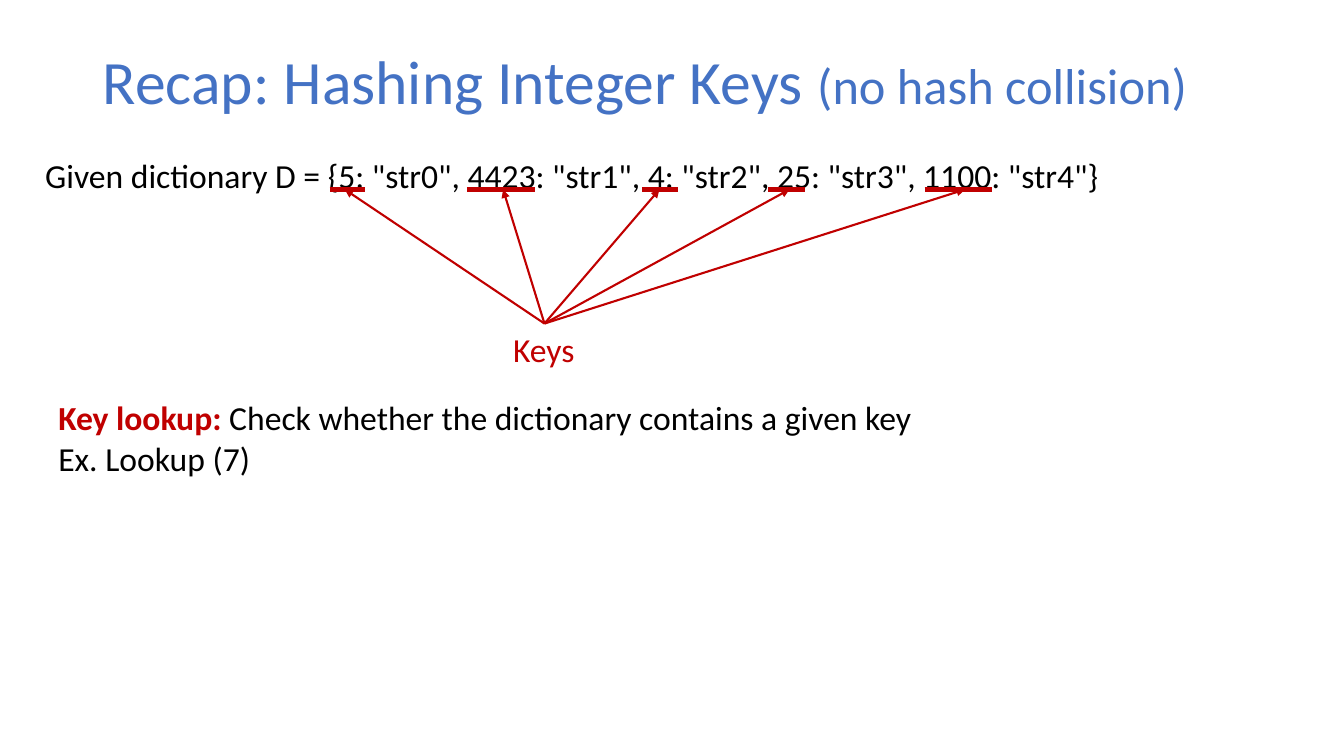
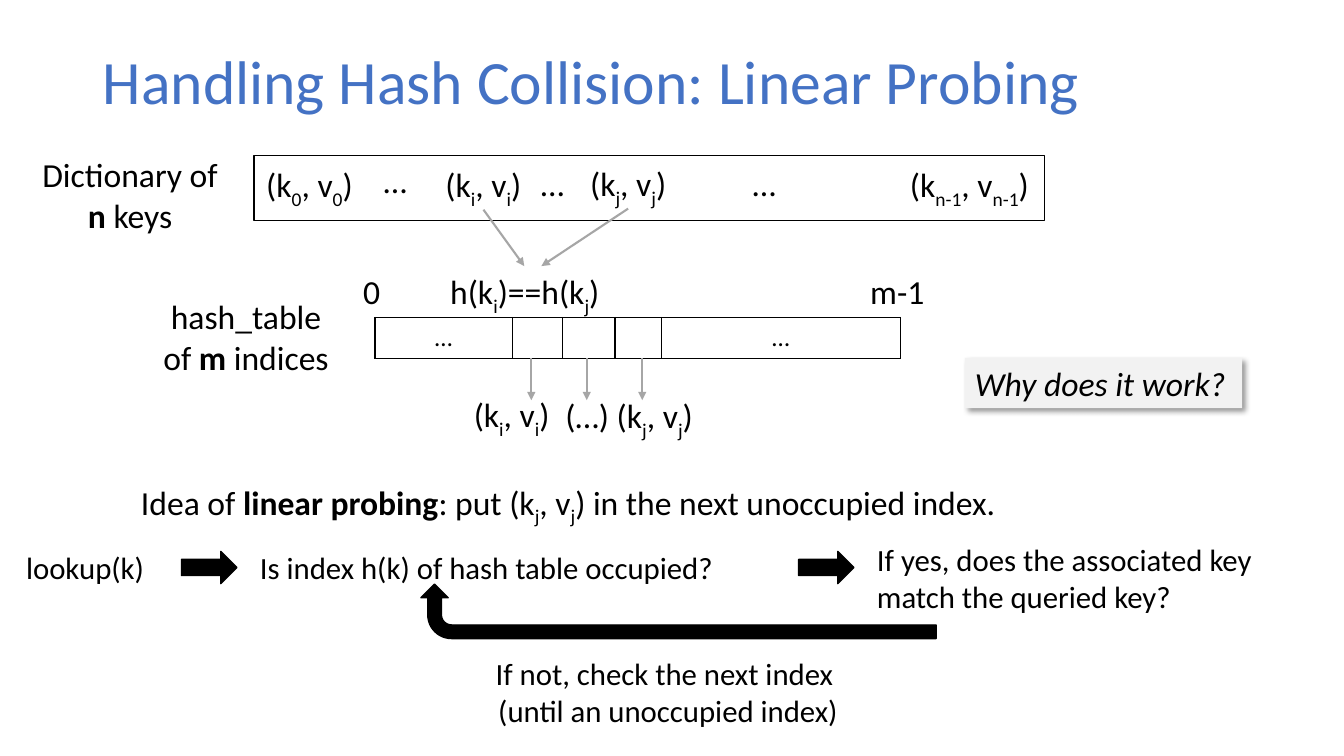
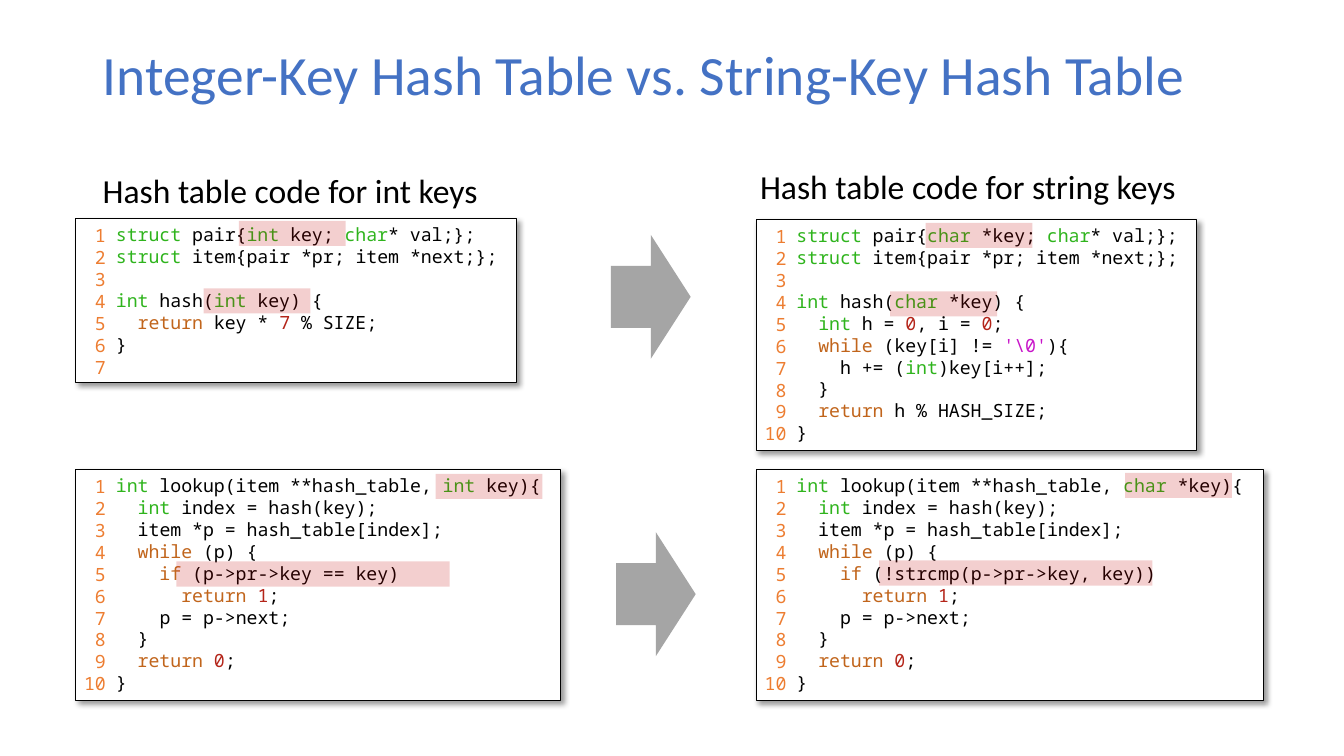
from itertools import groupby

from lxml import etree
from pptx import Presentation
from pptx import util as u
from pptx.dml.color import RGBColor
from pptx.enum import shapes, text
from pptx.oxml import ns

BLACK = RGBColor(0x00, 0x00, 0x00)
WHITE = RGBColor(0xFF, 0xFF, 0xFF)
BLUE = RGBColor(0x44, 0x72, 0xC4)
RED = RGBColor(0xC0, 0x00, 0x00)
ORANGE = RGBColor(0xED, 0x7D, 0x31)
PALE_GRAY = RGBColor(0xF2, 0xF2, 0xF2)
ARROW_GRAY = RGBColor(0xA6, 0xA6, 0xA6)
BLOCK_GRAY = RGBColor(0xA5, 0xA5, 0xA5)
CODE_TYPE = RGBColor(0x2F, 0xB4, 0x1D)
CODE_FLOW = RGBColor(0xC1, 0x65, 0x1C)
CODE_NUMBER = RGBColor(0xB4, 0x24, 0x19)
CODE_CHAR = RGBColor(0xC8, 0x14, 0xC9)

WORD_COLORS = {word: CODE_TYPE for word in ("struct", "int", "char")}
WORD_COLORS.update({word: CODE_FLOW for word in ("while", "if", "return")})

LEFT, CENTER, RIGHT = text.PP_ALIGN.LEFT, text.PP_ALIGN.CENTER, text.PP_ALIGN.RIGHT
ARROW = shapes.MSO_SHAPE.RIGHT_ARROW
RECTANGLE = shapes.MSO_SHAPE.RECTANGLE
BOLD, SUB = {"bold": True}, {"sub": True}


def px(value):
    """100 px to the inch."""
    return u.Emu(value * 9144)


def add_xml(parent, tag, **attributes):
    return etree.SubElement(parent, ns.qn(tag), attributes)


def pair(index):
    return ["(k", (index, SUB), ", v", (index, SUB), ")"]


def color_code(line):
    """Split a line of code into runs coloured by token."""
    runs = []
    for _, group in groupby(line, lambda letter: letter.isalnum() or letter in "_'\\"):
        token = "".join(group)
        color = WORD_COLORS.get(token)
        if token.isdigit():
            color = CODE_NUMBER
        elif token.startswith("'"):
            color = CODE_CHAR
        runs.append((token, {"color": color}) if color else token)
    return runs


class Deck:
    font, code_font = "Calibri", "Noto Sans Mono"
    text_size, code_size = 24, 13

    def __init__(self):
        self.presentation = Presentation()
        self.presentation.slide_width = px(1333)
        self.presentation.slide_height = px(750)
        self.slide = None

    def new_slide(self, *title, size=44, height=87):
        """Start a slide with its title."""
        self.slide = self.presentation.slides.add_slide(self.presentation.slide_layouts[5])
        shape = self.slide.shapes.title
        shape.left, shape.top, shape.width, shape.height = map(px, (92, 40, 1150, height))
        frame = shape.text_frame
        frame.auto_size = text.MSO_AUTO_SIZE.NONE
        frame.vertical_anchor = text.MSO_ANCHOR.MIDDLE
        self.set_text(frame, [title], size=size, color=BLUE)
        frame.paragraphs[0].line_spacing = 0.9

    def set_text(self, frame, lines, size=None, color=BLACK, align=LEFT, name=None):
        """Each line is a list of runs: plain text or (text, style)."""
        paragraph = None
        for line in lines:
            if not line:
                paragraph.add_line_break()
                continue
            paragraph = frame.add_paragraph() if paragraph is not None else frame.paragraphs[0]
            paragraph.alignment = align
            paragraph.font.name = name or self.font
            paragraph.font.size = u.Pt(size or self.text_size)
            paragraph.font.color.rgb = color
            for item in line:
                content, style = (item, {}) if isinstance(item, str) else item
                run = paragraph.add_run()
                run.text = content
                if "bold" in style:
                    run.font.bold = True
                if "italic" in style:
                    run.font.italic = True
                if "size" in style:
                    run.font.size = u.Pt(style["size"])
                if "color" in style:
                    run.font.color.rgb = style["color"]
                if "sub" in style:
                    run.font._element.set("baseline", "-25000")

    def label(self, x, y, width, height, *lines, wrap=False, **style):
        shape = self.slide.shapes.add_textbox(px(x), px(y), px(width), px(height))
        frame = shape.text_frame
        frame.word_wrap = wrap
        frame.auto_size = text.MSO_AUTO_SIZE.SHAPE_TO_FIT_TEXT
        self.set_text(frame, lines, **style)
        return shape

    def block(self, x, y, width, height, kind=RECTANGLE, fill=None, line=None,
              shadow=False, alpha=None):
        shape = self.slide.shapes.add_shape(kind, px(x), px(y), px(width), px(height))
        shape.shadow.inherit = False
        properties = shape._element.spPr
        if fill is None:
            shape.fill.background()
        else:
            shape.fill.solid()
            shape.fill.fore_color.rgb = fill
        if alpha:
            color = properties.find(".//" + ns.qn("a:srgbClr"))
            add_xml(color, "a:alpha", val=str(alpha * 1000))
        if line is None:
            shape.line.fill.background()
        else:
            shape.line.color.rgb = BLACK
            shape.line.width = u.Pt(line)
        if shadow:
            outer = add_xml(properties.find(ns.qn("a:effectLst")), "a:outerShdw",
                            blurRad="50800", dist="38100", dir="2700000",
                            algn="tl", rotWithShape="0")
            add_xml(add_xml(outer, "a:prstClr", val="black"), "a:alpha", val="40000")
        return shape

    def line(self, x1, y1, x2, y2, color, weight=1.5, arrow=True, start=None):
        """start is (shape, side) to join the line's beginning to."""
        connector = self.slide.shapes.add_connector(
            shapes.MSO_CONNECTOR.STRAIGHT, px(x1), px(y1), px(x2), px(y2))
        if start:
            connector.begin_connect(*start)
        connector.line.color.rgb = color
        connector.line.width = u.Pt(weight)
        if arrow:
            add_xml(connector.line._get_or_add_ln(), "a:tailEnd", type="triangle")
        add_xml(connector._element.spPr, "a:effectLst")

    def table_row(self, x, y, height, widths, contents):
        frame = self.slide.shapes.add_table(
            1, len(widths), px(x), px(y), px(sum(widths)), px(height))
        table = frame.table
        table.first_row = table.horz_banding = False
        table.rows[0].height = px(height)
        for column, width, content, cell in zip(table.columns, widths, contents,
                                                table.rows[0].cells):
            column.width = px(width)
            cell.margin_left = cell.margin_right = 0
            properties = cell._tc.get_or_add_tcPr()
            for side in "LRTB":
                border = add_xml(properties, "a:ln" + side, w="12700")
                add_xml(add_xml(border, "a:solidFill"), "a:srgbClr", val=str(BLACK))
            cell.fill.background()
            if content:
                self.set_text(cell.text_frame, [[content]], size=18, align=CENTER)

    def code_panel(self, x, y, width, code, count=10):
        """Code box with a column of line numbers."""
        height = 22 * count + 9
        frame = self.block(x, y, width, height, fill=WHITE, line=0.75, shadow=True).text_frame
        frame.margin_left = px(40)
        frame.word_wrap = False
        frame.vertical_anchor = text.MSO_ANCHOR.TOP
        self.set_text(frame, [color_code(row) for row in code.strip().split("\n")],
                      size=self.code_size, name=self.code_font)
        numbers = self.label(x, y + 1, 30, height, *[[str(n + 1)] for n in range(count)],
                             wrap=True, size=self.code_size, color=ORANGE,
                             align=RIGHT, name=self.code_font)
        numbers.text_frame.margin_left = numbers.text_frame.margin_right = 0


INT_CODE = """
struct pair{int key; char* val;};
struct item{pair *pr; item *next;};

int hash(int key) {
  return key * 7 % SIZE;
}
"""
STRING_CODE = r"""
struct pair{char *key; char* val;};
struct item{pair *pr; item *next;};

int hash(char *key) {
  int h = 0, i = 0;
  while (key[i] != '\0'){
    h += (int)key[i++];
  }
  return h % HASH_SIZE;
}
"""
LOOKUP_CODE = """
int lookup(item **hash_table, PARAMETER){
  int index = hash(key);
  item *p = hash_table[index];
  while (p) {
    if (CONDITION)
      return 1;
    p = p->next;
  }
  return 0;
}
"""


def lookup_code(parameter, condition):
    return LOOKUP_CODE.replace("PARAMETER", parameter).replace("CONDITION", condition)


def recap_slide(deck):
    deck.new_slide("Recap: Hashing Integer Keys ", ("(no hash collision)", {"size": 36}))
    deck.label(35, 149, 1092, 62, [
        'Given dictionary D = {5: "str0", 4423: "str1", 4: "str2", 25: "str3", 1100: "str4"}'],
        wrap=True)
    deck.label(48, 389, 874, 91,
               [("Key lookup: ", {"bold": True, "color": RED}),
                "Check whether the dictionary contains a given key"],
               ["Ex. Lookup (7)"])
    keys = deck.label(499, 321, 82, 50, ["Keys"], color=RED)

    # Underlined keys, each with an arrow from the label
    for left, right, target in ((327, 362, 342), (463, 531, 499), (637, 672, 654),
                                (762, 798, 783), (917, 984, 957)):
        deck.line(left, 188, right, 188, RED, weight=3, arrow=False)
        deck.line(540, 321, target, 188, RED, start=(keys, 0))


def probing_slide(deck):
    deck.new_slide("Handling Hash Collision: Linear Probing")

    # Dictionary row
    deck.block(252, 154, 784, 65, line=1)
    deck.label(28, 148, 202, 91, ["Dictionary of ", ("n ", BOLD), "keys"],
               wrap=True, align=CENTER)
    deck.label(252, 158, 110, 50, pair("0"), align=CENTER)
    deck.label(888, 158, 147, 50, pair("n-1"), align=CENTER)
    for x, y in ((370, 154), (526, 157), (736, 157)):
        deck.label(x, y, 44, 50, ["…"], align=CENTER)
    first = deck.label(431, 158, 97, 50, pair("i"), align=CENTER)
    second = deck.label(574, 157, 98, 50, pair("j"), align=CENTER)
    deck.line(480, 208, 520, 264, ARROW_GRAY, start=(first, 2))
    deck.line(623, 207, 537, 264, ARROW_GRAY, start=(second, 2))

    # Hash table
    deck.label(143, 289, 202, 91, ["hash_table of ", ("m", BOLD), " indices"],
               wrap=True, align=CENTER)
    deck.label(350, 264, 37, 50, ["0"], align=CENTER)
    deck.label(435, 264, 171, 50, ["h(k", ("i", SUB), ")==h(k", ("j", SUB), ")"],
               align=CENTER)
    deck.label(853, 264, 74, 50, ["m-1"], align=CENTER)
    deck.table_row(372, 315, 41, (136, 50, 52, 46, 237), ("…", "", "", "", "…"))
    for x in (527, 582, 637):
        deck.line(x, 355, x, 397, ARROW_GRAY)
    deck.label(459, 386, 97, 50, pair("i"), align=CENTER)
    deck.label(551, 387, 64, 50, ["(…)"])
    deck.label(601, 387, 97, 50, pair("j"), align=CENTER)

    question = deck.block(957, 355, 275, 50, fill=PALE_GRAY, shadow=True).text_frame
    question.word_wrap = True
    question.vertical_anchor = text.MSO_ANCHOR.TOP
    deck.set_text(question, [[("Why does it work?", {"italic": True})]])

    # Lookup steps
    deck.label(130, 473, 906, 50, ["Idea of ", ("linear probing", BOLD), ": put ",
                                   *pair("j"), " in the next unoccupied index."], wrap=True)
    deck.label(16, 539, 138, 47, ["lookup(k)"], size=22)
    deck.label(248, 539, 511, 47, ["Is index h(k) of hash table occupied?"],
               wrap=True, size=22)
    deck.label(860, 532, 393, 84, ["If yes, does the associated key match the queried key?"],
               wrap=True, size=22)
    deck.label(465, 645, 395, 84, ["If not, check the next index "],
               ["(until an unoccupied index)"], wrap=True, size=22, align=CENTER)
    for x in (180, 792):
        deck.block(x, 547, 55, 32, ARROW, fill=BLACK, line=1)
    back = deck.block(646, 351, 54, 511, shapes.MSO_SHAPE.BENT_ARROW, fill=BLACK, line=1)
    back.rotation = 270


def code_slide(deck):
    deck.new_slide("Integer-Key Hash Table vs. String-Key Hash Table", size=39.6, height=74)
    deck.label(92, 164, 396, 50, ["Hash table code for int keys"])
    deck.label(744, 160, 436, 50, ["Hash table code for string keys"])

    deck.code_panel(75, 217, 437, INT_CODE, count=7)
    deck.code_panel(750, 218, 437, STRING_CODE)
    deck.code_panel(75, 466, 481, lookup_code("int key", "p->pr->key == key"))
    deck.code_panel(750, 466, 503, lookup_code("char *key", "!strcmp(p->pr->key, key)"))

    # Highlights over the lines that differ
    for x, y, width in ((237, 219, 106), (202, 286, 106), (432, 470, 106), (175, 557, 271),
                        (918, 221, 106), (883, 289, 106), (1116, 469, 106), (872, 556, 271)):
        deck.block(x, y, width, 25, fill=RED, alpha=19)
    for x, y in ((606, 233), (611, 528)):
        deck.block(x, y, 79, 123, ARROW, fill=BLOCK_GRAY)


def main():
    deck = Deck()
    recap_slide(deck)
    probing_slide(deck)
    code_slide(deck)
    deck.presentation.save("out.pptx")


if __name__ == "__main__":
    main()
